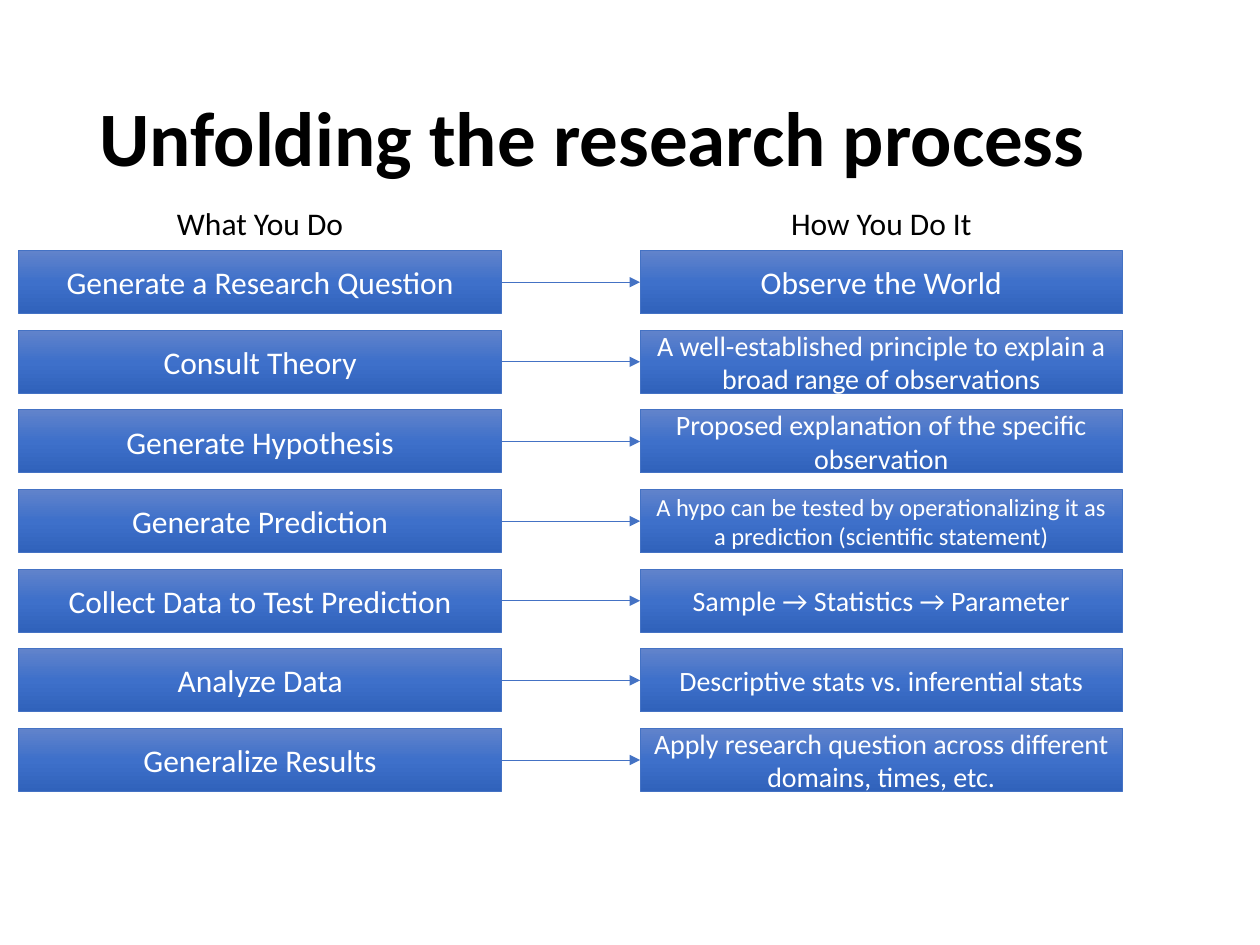
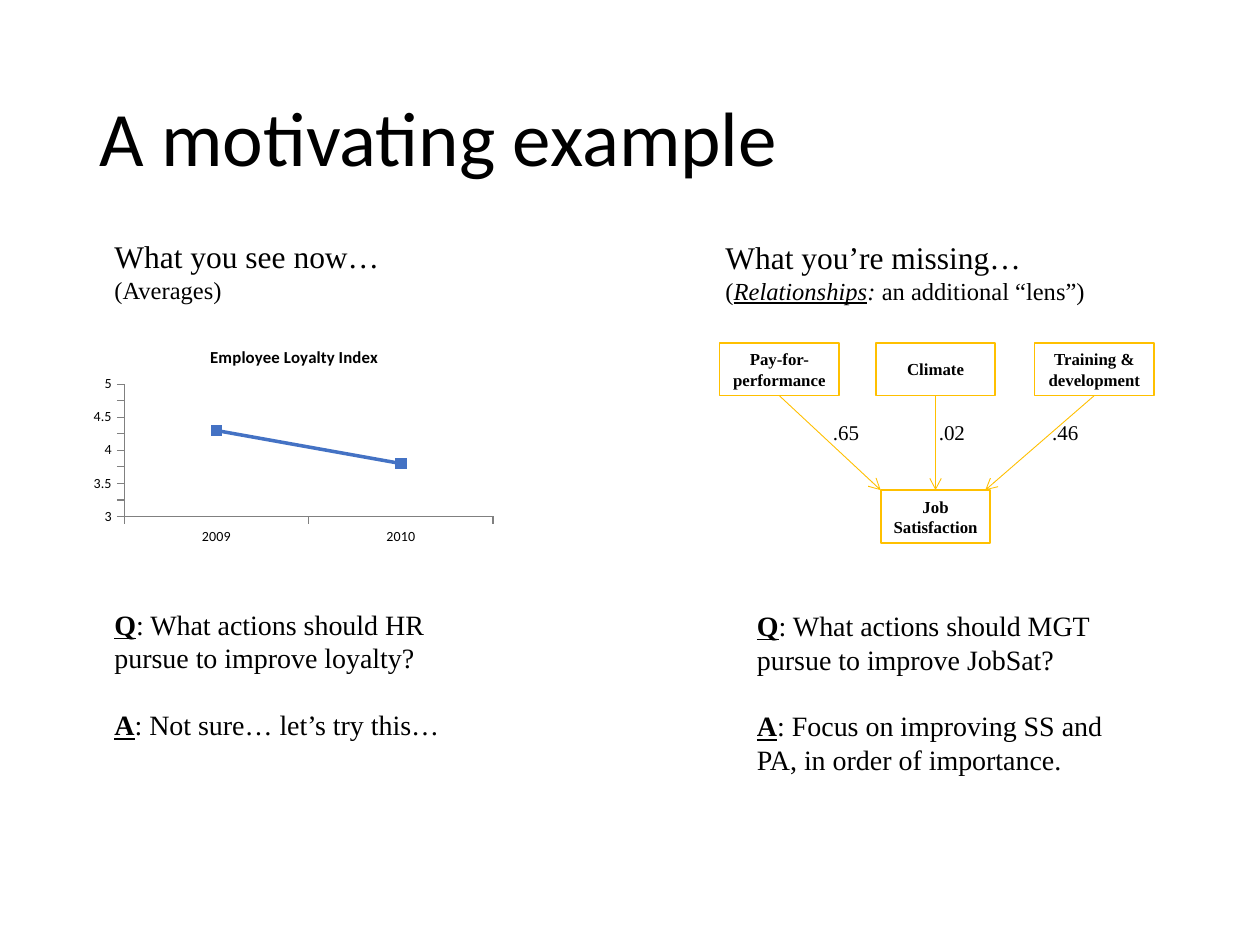
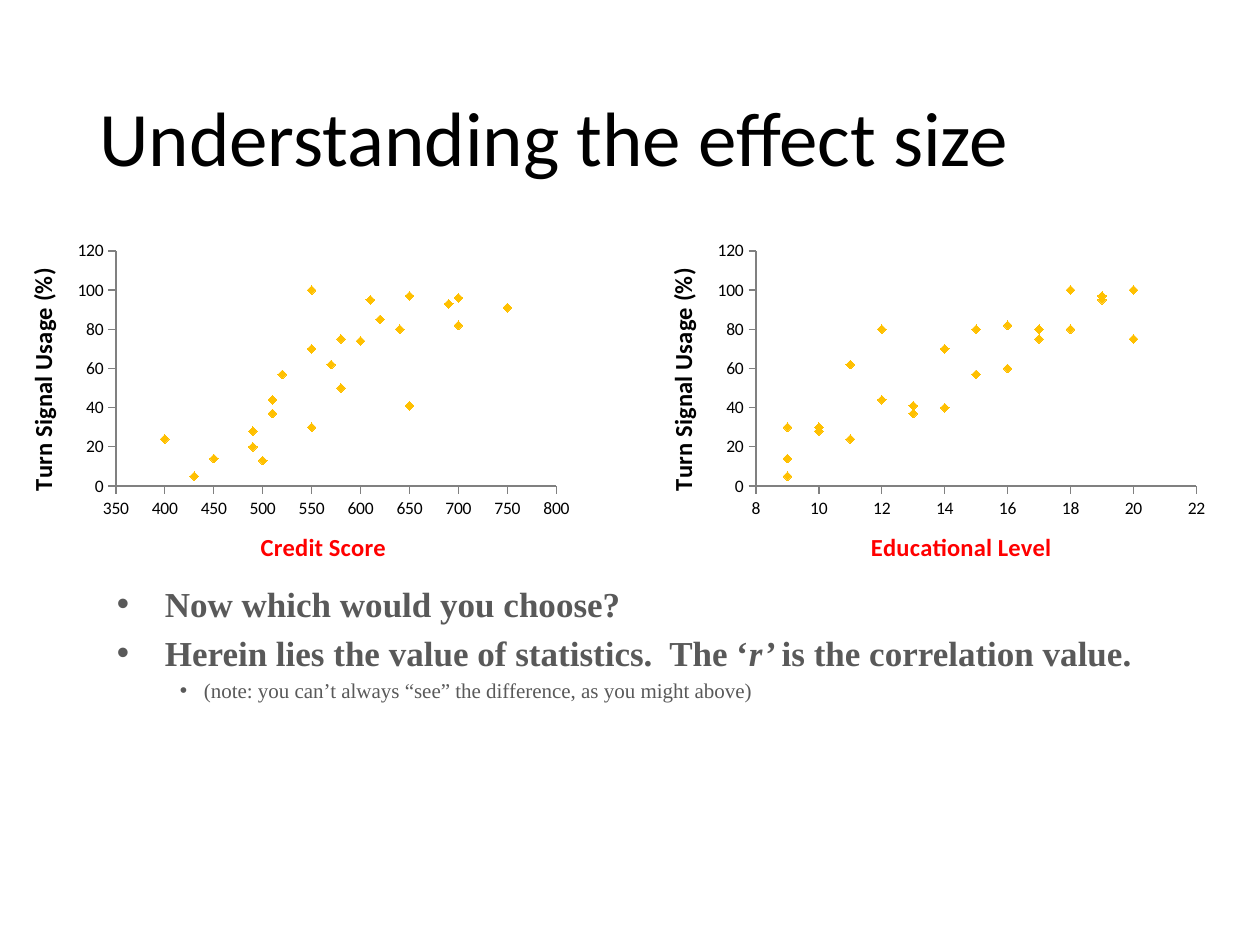
from copy import deepcopy
from dataclasses import dataclass

from lxml.etree import SubElement
from pptx import Presentation
from pptx.chart.data import CategoryChartData, XyChartData
from pptx.dml.color import RGBColor
from pptx.enum.chart import XL_CHART_TYPE as ChartType
from pptx.enum.chart import XL_MARKER_STYLE as Marker
from pptx.enum.chart import XL_TICK_MARK as Tick
from pptx.enum.shapes import MSO_CONNECTOR as Connector
from pptx.enum.shapes import MSO_SHAPE as Shape
from pptx.enum.text import MSO_ANCHOR as Anchor
from pptx.enum.text import PP_ALIGN as Align
from pptx.oxml.ns import qn
from pptx.util import Inches, Pt


@dataclass(frozen=True)
class Theme:
    sans: str = "Calibri"
    serif: str = "Times New Roman"
    black: str = "000000"
    white: str = "FFFFFF"
    gray: str = "595959"
    axis: str = "808080"
    blue: str = "4472C4"
    gold: str = "FFC000"
    red: str = "FF0000"
    gradient: tuple = ((0, "6183CB"), (0.5, "3E70CA"), (1, "3062BB"))
    title: float = 44
    lead: float = 20
    heading: float = 18
    body: float = 16
    small: float = 14
    note: float = 12
    tick: float = 10
    box: float = 9.6
    fine: float = 8


THEME = Theme()
BOTTOM, TOP, LEFT, RIGHT = 2, 0, 1, 3

STEPS = [
    ("Generate a Research Question", "Observe the World", THEME.heading),
    ("Consult Theory", "A well-established principle to explain a broad range of observations", THEME.body),
    ("Generate Hypothesis", "Proposed explanation of the specific observation", THEME.body),
    ("Generate Prediction",
     "A hypo can be tested by operationalizing it as a prediction (scientific statement)", THEME.small),
    ("Collect Data to Test Prediction", "Sample → Statistics → Parameter", THEME.body),
    ("Analyze Data", "Descriptive stats vs. inferential stats", THEME.body),
    ("Generalize Results", "Apply research question across different domains, times, etc.", THEME.body),
]
CREDIT_SCORES = [430, 500, 450, 490, 550, 490, 400, 510, 580, 510, 650, 550, 600,
                 520, 570, 700, 620, 580, 640, 750, 690, 610, 650, 700, 550]
CREDIT_USAGE = [5, 13, 14, 28, 30, 20, 24, 44, 50, 37, 41, 70, 74,
                57, 62, 82, 85, 75, 80, 91, 93, 95, 97, 96, 100]
EDUCATION_LEVELS = [9, 9, 9, 10, 10, 11, 11, 12, 12, 13, 13, 14, 14,
                    15, 15, 16, 16, 17, 17, 18, 18, 19, 19, 20, 20]
EDUCATION_USAGE = [5, 30, 14, 28, 30, 62, 24, 44, 80, 37, 41, 70, 40,
                   57, 80, 82, 60, 75, 80, 100, 80, 95, 97, 75, 100]


def rgb(value):
    return RGBColor.from_string(value)


def style_font(font, size, color=THEME.black, name=THEME.sans, bold=False, italic=False, underline=False):
    font.size = Pt(size)
    font.name = name
    font.bold = bold
    font.italic = italic
    font.underline = underline
    font.color.rgb = rgb(color)


def add_bullet(paragraph, left, hanging):
    properties = paragraph._p.get_or_add_pPr()
    properties.set("marL", str(Inches(left)))
    properties.set("indent", str(-Inches(hanging)))
    SubElement(properties, qn("a:buFont"), typeface="Arial")
    SubElement(properties, qn("a:buChar"), char="•")


def write(frame, runs, first=True, align=Align.LEFT, before=0, spacing=None, bullet=None, **font):
    paragraph = frame.paragraphs[0] if first else frame.add_paragraph()
    if bullet:
        add_bullet(paragraph, *bullet)
    paragraph.alignment = align
    if before:
        paragraph.space_before = Pt(before)
    if spacing:
        paragraph.line_spacing = spacing
    for text, changes in [(runs, {})] if isinstance(runs, str) else runs:
        run = paragraph.add_run()
        run.text = text
        style_font(run.font, **{**font, **changes})


def prepare_frame(shape, anchor, margin=0.1):
    frame = shape.text_frame
    frame.word_wrap = True
    frame.vertical_anchor = anchor
    frame.margin_left = frame.margin_right = Inches(margin)
    return frame


def add_text(slide, box, anchor=Anchor.TOP, margin=0.1):
    return prepare_frame(slide.shapes.add_textbox(*map(Inches, box)), anchor, margin)


def add_title(slide, text, bold=False):
    write(add_text(slide, (0.69, 0.4, 8.62, 1.45), Anchor.MIDDLE), text,
          size=THEME.title, spacing=0.9, bold=bold)


def add_box(slide, box, text, line_color, line_width, margin=0.1, **font):
    shape = slide.shapes.add_shape(Shape.RECTANGLE, *map(Inches, box))
    shape.shadow.inherit = False
    shape.fill.background()
    shape.line.color.rgb = rgb(line_color)
    shape.line.width = Pt(line_width)
    write(prepare_frame(shape, Anchor.MIDDLE, margin), text, align=Align.CENTER, **font)
    return shape


def add_step(slide, left, top, text, size):
    shape = add_box(slide, (left, top, 3.83, 0.5), text, THEME.blue, 0.5, size=size, color=THEME.white)
    shape.fill.gradient()
    shape.fill.gradient_angle = 270
    stop_list = shape._element.spPr.find(qn("a:gradFill")).find(qn("a:gsLst"))
    stop_list.append(deepcopy(stop_list[0]))
    for stop, (position, color) in zip(shape.fill.gradient_stops, THEME.gradient):
        stop.position = position
        stop.color.rgb = rgb(color)
    return shape


def add_factor(slide, box, text):
    return add_box(slide, box, text, THEME.gold, 1, margin=0.05, size=THEME.box, name=THEME.serif, bold=True)


def add_arrow(slide, source, source_side, color, head, target=None, target_side=TOP, end=(0, 0)):
    arrow = slide.shapes.add_connector(Connector.STRAIGHT, 0, 0, *map(Inches, end))
    arrow.begin_connect(source, source_side)
    if target is not None:
        arrow.end_connect(target, target_side)
    arrow.line.color.rgb = rgb(color)
    arrow.line.width = Pt(0.5)
    SubElement(arrow.line._get_or_add_ln(), qn("a:tailEnd"), type=head)
    SubElement(arrow._element.spPr, qn("a:effectLst"))


def add_heading(slide, box, text, detail):
    frame = add_text(slide, box)
    write(frame, text, size=THEME.heading, name=THEME.serif)
    write(frame, detail, first=False, size=THEME.small, name=THEME.serif)


def add_question(slide, box, question, answer):
    frame = add_text(slide, box)
    for index, (letter, lines) in enumerate((("Q", question), ("A", answer))):
        marked = [(letter, {"bold": True, "underline": True}), (": " + lines[0], {})]
        write(frame, marked, first=index == 0, before=19 * index, size=THEME.body, name=THEME.serif)
        for line in lines[1:]:
            write(frame, line, first=False, size=THEME.body, name=THEME.serif)


def place_plot(chart, plot_box):
    area = chart._chartSpace.chart.plotArea
    for old in area.findall(qn("c:layout")):
        area.remove(old)
    layout = SubElement(area, qn("c:layout"))
    area.insert(0, layout)
    manual = SubElement(layout, qn("c:manualLayout"))
    settings = [("layoutTarget", "inner"), ("xMode", "edge"), ("yMode", "edge")]
    for tag, value in settings + list(zip("xywh", plot_box)):
        SubElement(manual, qn("c:" + tag), val=str(value))


def style_axis(axis, low=None, high=None, step=None):
    axis.has_major_gridlines = False
    axis.major_tick_mark = Tick.OUTSIDE
    axis.minor_tick_mark = Tick.NONE
    axis.format.line.color.rgb = rgb(THEME.axis)
    axis.format.line.width = Pt(0.75)
    if step:
        axis.minimum_scale, axis.maximum_scale, axis.major_unit = low, high, step


def add_chart(slide, kind, box, data, size, plot_box):
    chart = slide.shapes.add_chart(kind, *map(Inches, box), data).chart
    chart.has_legend = False
    chart.has_title = False
    style_font(chart.font, size)
    chart.plots[0].vary_by_categories = False
    place_plot(chart, plot_box)
    series = chart.plots[0].series[0]
    series.smooth = False
    series.marker.format.fill.solid()
    series.marker.format.fill.fore_color.rgb = rgb(THEME.gold)
    series.marker.format.line.color.rgb = rgb(THEME.gold)
    return chart, series


def add_loyalty_chart(slide):
    data = CategoryChartData()
    data.categories = ["2009", "2010"]
    data.add_series("Series 1", [4.3, 3.8])
    chart, series = add_chart(slide, ChartType.LINE_MARKERS, (0.69, 2.63, 3.29, 1.75), data,
                              THEME.fine, (0.09, 0.24, 0.89, 0.6))
    chart.has_title = True
    write(chart.chart_title.text_frame, "Employee Loyalty Index", align=Align.CENTER, size=THEME.box, bold=True)
    style_axis(chart.category_axis)
    style_axis(chart.value_axis, 3, 5, 0.25)
    series.format.line.color.rgb = rgb(THEME.blue)
    series.format.line.width = Pt(2)
    series.marker.style = Marker.SQUARE
    series.marker.size = 6


def add_usage_scatter(slide, left, plot_box, label, scale, levels, usage):
    data = XyChartData()
    points = data.add_series("Series 1")
    for level, percent in zip(levels, usage):
        points.add_data_point(level, percent)
    chart, series = add_chart(slide, ChartType.XY_SCATTER, (left, 1.85, 4.6, 2.83), data, THEME.tick, plot_box)
    series.format.line.fill.background()
    series.marker.style = Marker.DIAMOND
    series.marker.size = 5
    style_axis(chart.category_axis, *scale)
    style_axis(chart.value_axis, 0, 120, 20)
    titles = ((chart.category_axis, label, THEME.red),
              (chart.value_axis, "Turn Signal Usage (%)", THEME.black))
    for axis, text, color in titles:
        write(axis.axis_title.text_frame, text, align=Align.CENTER, size=THEME.small, color=color, bold=True)


def build_process(slide):
    add_title(slide, "Unfolding the research process", bold=True)
    columns = (0.15, 5.08)
    for left, heading in zip(columns, ("What You Do", "How You Do It")):
        write(add_text(slide, (left, 1.54, 3.83, 0.46), Anchor.MIDDLE), heading,
              align=Align.CENTER, size=THEME.heading)
    for row, (action, method, size) in enumerate(STEPS):
        top = 1.99 + 0.632 * row
        what = add_step(slide, columns[0], top, action, THEME.heading)
        how = add_step(slide, columns[1], top, method, size)
        add_arrow(slide, what, RIGHT, THEME.blue, "triangle", how, LEFT)


def build_example(slide):
    add_title(slide, "A motivating example")
    add_loyalty_chart(slide)
    add_heading(slide, (0.81, 1.83, 3.03, 0.74), "What you see now…", "(Averages)")
    add_heading(slide, (5.66, 1.84, 3.36, 0.74), "What you’re missing…", [
        ("(", {}), ("Relationships", {"italic": True, "underline": True}),
        (":", {"italic": True}), (" an additional “lens”)", {})])
    add_question(slide, (0.81, 4.77, 2.9, 1.18),
                 ["What actions should HR", "pursue to improve loyalty?"],
                 ["Not sure… let’s try this…"])
    add_question(slide, (5.91, 4.78, 3.1, 1.45),
                 ["What actions should MGT", "pursue to improve JobSat?"],
                 ["Focus on improving SS and", "PA, in order of importance."])
    outcome = add_factor(slide, (6.99, 3.89, 0.87, 0.42), "Job Satisfaction")
    factors = [
        (5.71, "Pay-for-performance", ".65", 6.51, {"end": (6.99, 3.89)}),
        (6.95, "Climate", ".02", 7.35, {"target": outcome}),
        (8.21, "Training & development", ".46", 8.25, {"end": (7.82, 3.89)}),
    ]
    for left, name, weight, weight_left, target in factors:
        factor = add_factor(slide, (left, 2.72, 0.95, 0.42), name)
        add_arrow(slide, factor, BOTTOM, THEME.gold, "arrow", **target)
        write(add_text(slide, (weight_left, 3.28, 0.41, 0.3), margin=0), weight,
              align=Align.CENTER, size=THEME.note, name=THEME.serif)


def build_effect(slide):
    add_title(slide, "Understanding the effect size")
    frame = add_text(slide, (0.83, 4.57, 8.76, 1.15))
    lead = {"size": THEME.lead, "color": THEME.gray, "name": THEME.serif, "bold": True, "bullet": (0.38, 0.38)}
    write(frame, "Now which would you choose?", **lead)
    write(frame, [("Herein lies the value of statistics.  The ‘", {}), ("r’ ", {"italic": True}),
                  ("is the correlation value.", {})], first=False, before=4, **lead)
    write(frame, "(note: you can’t always “see” the difference, as you might above)", first=False,
          before=2.4, bullet=(0.69, 0.19), size=THEME.note, color=THEME.gray, name=THEME.serif)
    add_usage_scatter(slide, 0, (0.2, 0.05, 0.76, 0.66), "Credit Score", (350, 800, 50),
                      CREDIT_SCORES, CREDIT_USAGE)
    add_usage_scatter(slide, 5.08, (0.2, 0.05, 0.76, 0.66), "Educational Level", (8, 22, 2),
                      EDUCATION_LEVELS, EDUCATION_USAGE)


def main():
    presentation = Presentation()
    presentation.slide_width = Inches(10)
    presentation.slide_height = Inches(7.5)
    for build in (build_process, build_example, build_effect):
        build(presentation.slides.add_slide(presentation.slide_layouts[6]))
    presentation.save("out.pptx")


if __name__ == "__main__":
    main()
